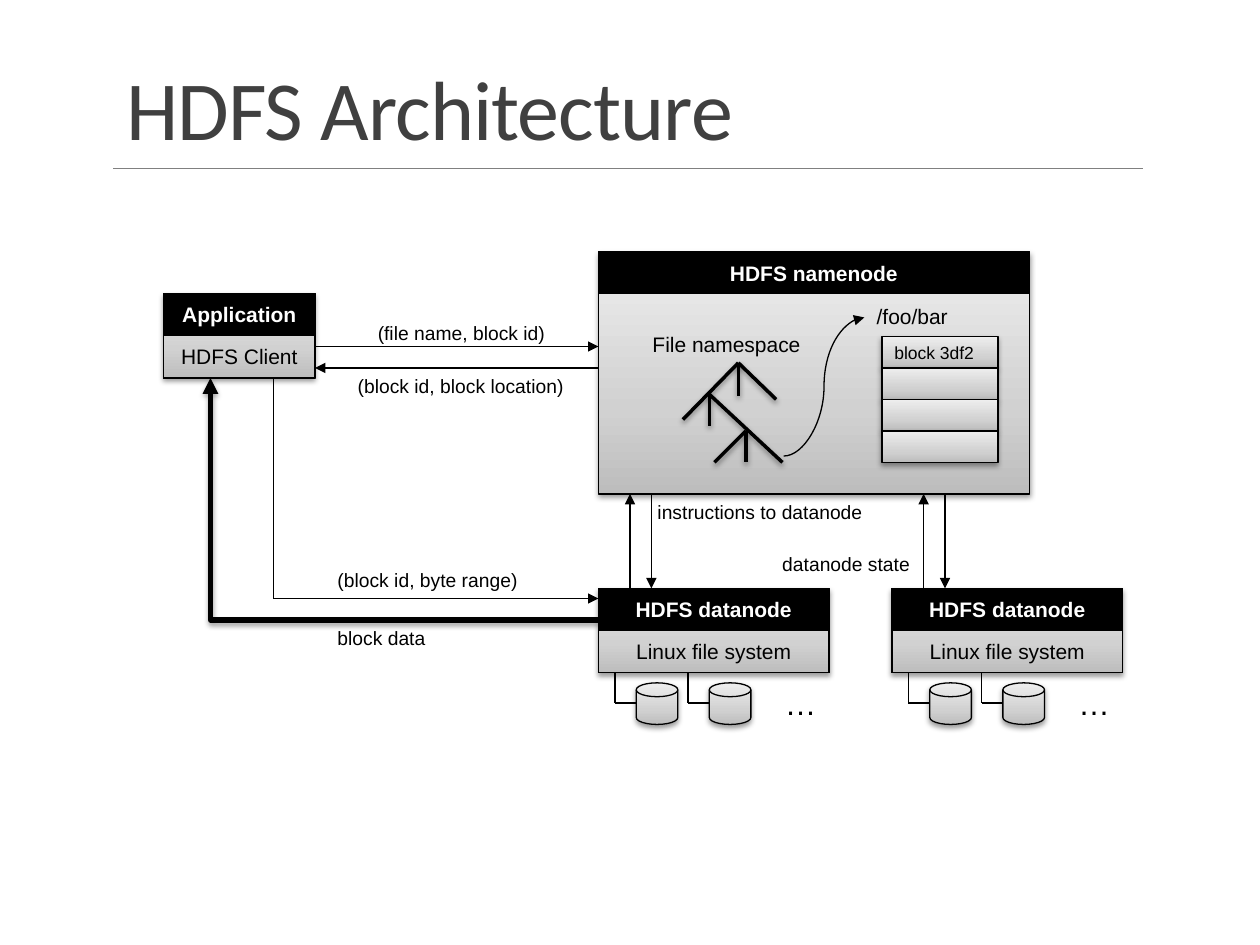
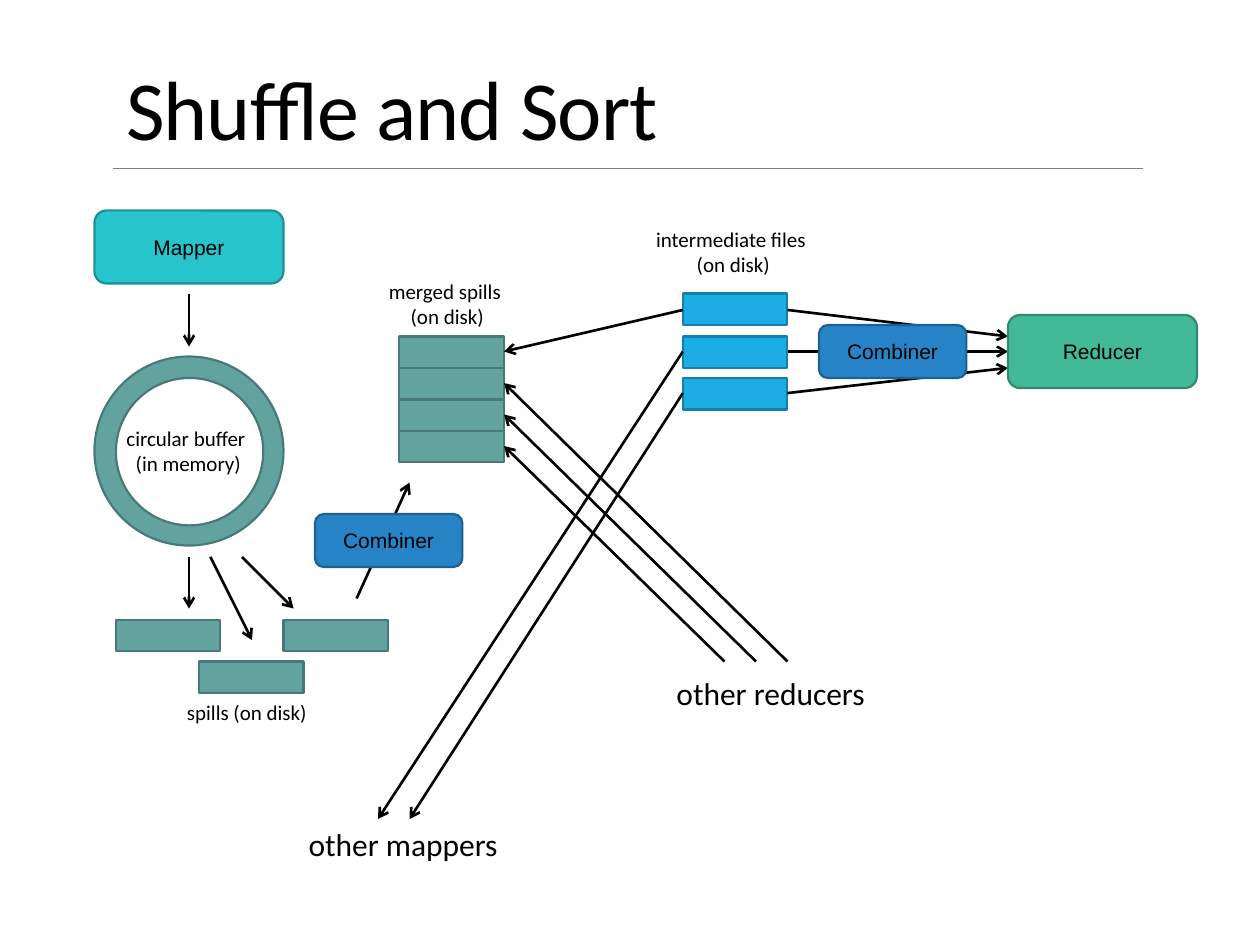
from lxml import etree
from pptx import Presentation
from pptx.dml.color import RGBColor
from pptx.enum.shapes import MSO_CONNECTOR, MSO_SHAPE
from pptx.enum.text import MSO_ANCHOR, MSO_AUTO_SIZE, PP_ALIGN
from pptx.oxml.ns import qn
from pptx.util import Inches, Pt

RECT, ROUND = MSO_SHAPE.RECTANGLE, MSO_SHAPE.ROUNDED_RECTANGLE
OVAL, DISK = MSO_SHAPE.OVAL, MSO_SHAPE.FLOWCHART_MAGNETIC_DISK
STRAIGHT, ELBOW, CURVE = MSO_CONNECTOR.STRAIGHT, MSO_CONNECTOR.ELBOW, MSO_CONNECTOR.CURVE
LEFT, CENTER = PP_ALIGN.LEFT, PP_ALIGN.CENTER
MIDDLE, BOTTOM = MSO_ANCHOR.MIDDLE, MSO_ANCHOR.BOTTOM
FIT_SHAPE, NO_FIT = MSO_AUTO_SIZE.SHAPE_TO_FIT_TEXT, MSO_AUTO_SIZE.NONE

# Shared look
BLACK, WHITE, DARK, RULE = "000000", "FFFFFF", "404040", "808080"
GRAY_STOPS = [(0, "BDBDBD"), (35, "D1D1D1"), (100, "EEEEEE")]
GRAY = "gray gradient"
TEAL, SKY, BLUE = ("62A39F", "497976"), ("1CADE4", "1580A9"), ("2683C6", "1C6192")
TURQUOISE, GREEN = ("28C4CC", "1E9197"), ("42BA97", "318A70")
SMALL = {"name": "Arial", "size": Pt(11)}
NORMAL = {"name": "Arial", "size": Pt(12)}
STRONG = {"name": "Arial", "size": Pt(12), "bold": True}
TINY = {"name": "Arial", "size": Pt(10)}
DOTS = {"name": "Arial", "size": Pt(18)}
CAPTION = {"name": "Calibri", "size": Pt(12)}
OUTSIDE = {"name": "Calibri", "size": Pt(18)}
TITLE = {"name": "Calibri", "size": Pt(48)}

# Slide 1: HDFS architecture
BOXES = [  # left, top, width, height, heading, body
    (1.3, 2.33, 1.2, 0.67, "Application", "HDFS Client"),
    (4.75, 2, 3.42, 1.92, "HDFS namenode", None),
]
HEADING_H = 0.33
DATANODE_LEFTS = [4.75, 7.08]
DATANODE_TOP, DATANODE_W = 4.67, 1.83
HDFS_LABELS = [  # left, top, width, height, text, format
    (2.9, 2.5, 1.54, 0.29, "(file name, block id)", SMALL),
    (2.74, 2.92, 1.85, 0.29, "(block id, block location)", SMALL),
    (5.12, 3.92, 1.84, 0.29, "instructions to datanode", SMALL),
    (6.11, 4.33, 1.22, 0.29, "datanode state", SMALL),
    (2.58, 4.46, 1.64, 0.29, "(block id, byte range)", SMALL),
    (2.58, 4.92, 0.9, 0.29, "block data", SMALL),
    (5.08, 2.58, 1.39, 0.3, "File namespace", NORMAL),
    (6.86, 2.36, 0.77, 0.3, "/foo/bar", NORMAL),
]
REQUESTS = [  # x1, y1, x2, y2, arrowhead
    (2.5, 2.75, 4.75, 2.75, "triangle"),
    (4.75, 2.92, 2.5, 2.92, "triangle"),
    (2.17, 3, 2.17, 4.75, None),
    (2.17, 4.75, 4.75, 4.75, "triangle"),
]
NAMESPACE_TREE = [
    (5.86, 2.88, 5.42, 3.33), (5.86, 2.88, 6.16, 3.17), (5.86, 2.88, 5.86, 3.14),
    (5.63, 3.13, 5.63, 3.38), (5.63, 3.13, 6.21, 3.67),
    (5.92, 3.42, 5.92, 3.67), (5.92, 3.42, 5.67, 3.67),
]
FILE_BLOCKS = ["block 3df2", "", "", ""]

# Slide 2: shuffle and sort
ROUND_BOXES = [  # left, top, width, height, text, colours
    (0.75, 1.67, 1.5, 0.58, "Mapper", TURQUOISE),
    (8, 2.5, 1.5, 0.58, "Reducer", GREEN),
    (2.5, 4.08, 1.17, 0.42, "Combiner", BLUE),
    (6.5, 2.58, 1.17, 0.42, "Combiner", BLUE),
]
BUFFER_RINGS = [(0.75, 2.83, 1.5, TEAL[0]), (0.92, 3, 1.17, WHITE)]
FILE_W, FILE_H = 0.83, 0.25
SPILLS = [(1.58, 5.25), (0.92, 4.92), (2.25, 4.92)]
MERGED_LEFT, MERGED_TOP, MERGED_COUNT = 3.17, 2.67, 4
INTERMEDIATE_LEFT, INTERMEDIATE_TOPS = 5.42, [2.33, 2.67, 3]
FLOWS = [
    (1.5, 2.33, 1.5, 2.75),
    (1.5, 4.42, 1.5, 4.83), (1.67, 4.42, 2, 5.08), (1.92, 4.42, 2.33, 4.83),
    (2.83, 4.75, 3.25, 3.83),
    (5.42, 2.46, 4, 2.79), (5.42, 2.79, 3, 6.5), (5.42, 3.12, 3.25, 6.5),
    (6.25, 5.25, 4, 3.04), (6, 5.25, 4, 3.29), (5.75, 5.25, 4, 3.54),
    (6.25, 2.46, 8, 2.67), (6.25, 2.79, 8, 2.79), (6.25, 3.12, 8, 2.92),
]
SHUFFLE_LABELS = [  # left, top, width, height, text, format, alignment
    (2.35, 6.5, 1.72, 0.4, "other mappers", OUTSIDE, LEFT),
    (5.27, 5.3, 1.72, 0.4, "other reducers", OUTSIDE, LEFT),
    (0.83, 3.33, 1.33, 0.5, "circular buffer \n(in memory)", CAPTION, CENTER),
    (1.38, 5.5, 1.16, 0.3, "spills (on disk)", CAPTION, CENTER),
    (2.98, 2.16, 1.14, 0.5, "merged spills \n(on disk)", CAPTION, CENTER),
    (5.1, 1.75, 1.44, 0.5, "intermediate files \n(on disk)", CAPTION, CENTER),
]


def rgb(color):
    return RGBColor.from_string(color)


def sub(parent, tag, **attributes):
    return etree.SubElement(parent, qn(tag), {k: str(v) for k, v in attributes.items()})


def add_shadow(effects):
    shadow = sub(effects, "a:outerShdw", blurRad=Pt(3.1), dist=Pt(1.6), dir=5400000,
                 rotWithShape=0)
    sub(sub(shadow, "a:srgbClr", val=BLACK), "a:alpha", val=38000)


def fill_gray(shape):
    """Three-stop gradient, dark at the bottom."""
    shape.fill.gradient()
    gradient = shape._element.spPr.find(qn("a:gradFill"))
    for part in list(gradient):
        gradient.remove(part)
    stops = sub(gradient, "a:gsLst")
    for position, color in GRAY_STOPS:
        sub(sub(stops, "a:gs", pos=position * 1000), "a:srgbClr", val=color)
    sub(gradient, "a:lin", ang=16200000, scaled=0)


def write(frame, text, style, color=BLACK, align=LEFT):
    frame.text = text
    for paragraph in frame.paragraphs:
        paragraph.alignment = align
        for run in paragraph.runs:
            for key, value in style.items():
                setattr(run.font, key, value)
            run.font.color.rgb = rgb(color)


def add_box(slide, kind, left, top, width, height, fill=None, line=BLACK, weight=0.75,
            text="", style=NORMAL, color=BLACK, align=CENTER):
    box = slide.shapes.add_shape(kind, *map(Inches, (left, top, width, height)))
    box.shadow.inherit = False
    if fill == GRAY:
        fill_gray(box)
        add_shadow(box._element.spPr.find(qn("a:effectLst")))
    elif fill:
        box.fill.solid()
        box.fill.fore_color.rgb = rgb(fill)
    else:
        box.fill.background()
    box.line.color.rgb = rgb(line)
    box.line.width = Pt(weight)
    if text:
        box.text_frame.vertical_anchor = MIDDLE
        write(box.text_frame, text, style, color, align)


def add_label(slide, left, top, width, height, text, style, align=LEFT):
    frame = slide.shapes.add_textbox(*map(Inches, (left, top, width, height))).text_frame
    frame.word_wrap = False
    frame.auto_size = FIT_SHAPE
    write(frame, text, style, align=align)


def add_line(slide, x1, y1, x2, y2, head=None, weight=0.75, color=BLACK, kind=STRAIGHT,
             shadow=False):
    line = slide.shapes.add_connector(kind, *map(Inches, (x1, y1, x2, y2)))
    line.line.color.rgb = rgb(color)
    line.line.width = Pt(weight)
    if head:
        sub(line.line._get_or_add_ln(), "a:tailEnd", type=head)
    effects = sub(line._element.spPr, "a:effectLst")
    if shadow:
        add_shadow(effects)
    return line


def add_slide(deck, title, color):
    slide = deck.slides.add_slide(deck.slide_layouts[5])
    heading = slide.shapes.title
    place = {"left": 0.9, "top": 0.31, "width": 8.25, "height": 0.99}
    for key, value in place.items():
        setattr(heading, key, Inches(value))
    frame = heading.text_frame
    for key, value in {"vertical_anchor": BOTTOM, "auto_size": NO_FIT, "word_wrap": True}.items():
        setattr(frame, key, value)
    write(frame, title, TITLE, color)
    frame.paragraphs[0].line_spacing = 0.85
    frame.paragraphs[0].runs[0].font._element.set("spc", "-50")
    add_line(slide, 0.9, 1.34, 9.07, 1.34, weight=0.5, color=RULE)
    return slide


def add_titled_box(slide, left, top, width, height, heading, body):
    add_box(slide, RECT, left, top, width, height, GRAY)
    add_box(slide, RECT, left, top, width, HEADING_H, BLACK, text=heading, style=STRONG,
            color=WHITE)
    if body:
        add_box(slide, RECT, left, top + HEADING_H, width, height - HEADING_H, text=body)


def add_datanode(slide, left):
    add_titled_box(slide, left, DATANODE_TOP, DATANODE_W, 0.67, "HDFS datanode",
                   "Linux file system")
    # Disks hang below on short branches
    for branch in (left + 0.13, left + 0.71):
        add_box(slide, DISK, branch + 0.17, 5.42, 0.33, 0.33, GRAY)
        add_line(slide, branch, 5.34, branch, 5.58)
        add_line(slide, branch, 5.58, branch + 0.17, 5.58)
    add_label(slide, left + 1.38, 5.38, 0.45, 0.4, "…", DOTS)
    # Traffic with the namenode
    add_line(slide, left + 0.42, 3.92, left + 0.42, DATANODE_TOP, "triangle")
    add_line(slide, left + 0.25, DATANODE_TOP, left + 0.25, 3.92, "triangle")


def build_architecture(deck):
    slide = add_slide(deck, "HDFS Architecture", DARK)
    # Block data returns to the client along a thick elbow
    block_data = add_line(slide, 1.67, 3, 4.75, 4.92, "triangle", 3, kind=ELBOW, shadow=True)
    block_data._element.spPr.find(qn("a:prstGeom")).set("prst", "bentConnector2")
    block_data._element.spPr.find(qn("a:xfrm")).set("rot", "10800000")
    for box in BOXES:
        add_titled_box(slide, *box)
    for request in REQUESTS:
        add_line(slide, *request)
    for left in DATANODE_LEFTS:
        add_datanode(slide, left)
    for label in HDFS_LABELS:
        add_label(slide, *label)
    # Namespace tree and the blocks of one file
    for branch in NAMESPACE_TREE:
        add_line(slide, *branch, weight=2, shadow=True)
    for row, block in enumerate(FILE_BLOCKS):
        add_box(slide, RECT, 7, 2.67 + row * 0.25, 0.92, 0.25, GRAY, text=block, style=TINY,
                align=LEFT)
    add_line(slide, 6.22, 3.62, 6.86, 2.52, "triangle", kind=CURVE)


def build_shuffle(deck):
    slide = add_slide(deck, "Shuffle and Sort", BLACK)
    for left, top, size, fill in BUFFER_RINGS:
        add_box(slide, OVAL, left, top, size, size, fill, TEAL[1], 1.25)
    # Files on disk
    merged = [(MERGED_LEFT, MERGED_TOP + row * FILE_H) for row in range(MERGED_COUNT)]
    intermediate = [(INTERMEDIATE_LEFT, top) for top in INTERMEDIATE_TOPS]
    for files, colors in ((SPILLS + merged, TEAL), (intermediate, SKY)):
        for left, top in files:
            add_box(slide, RECT, left, top, FILE_W, FILE_H, *colors, 1.25)
    for flow in FLOWS:
        add_line(slide, *flow, "arrow", 1.5)
    for label in SHUFFLE_LABELS:
        add_label(slide, *label)
    # Processing steps cover the arrows
    for left, top, width, height, step, colors in ROUND_BOXES:
        add_box(slide, ROUND, left, top, width, height, *colors, 1.25, step)


def main():
    deck = Presentation()
    deck.slide_width, deck.slide_height = Inches(10), Inches(7.5)
    build_architecture(deck)
    build_shuffle(deck)
    deck.save("out.pptx")


if __name__ == "__main__":
    main()
